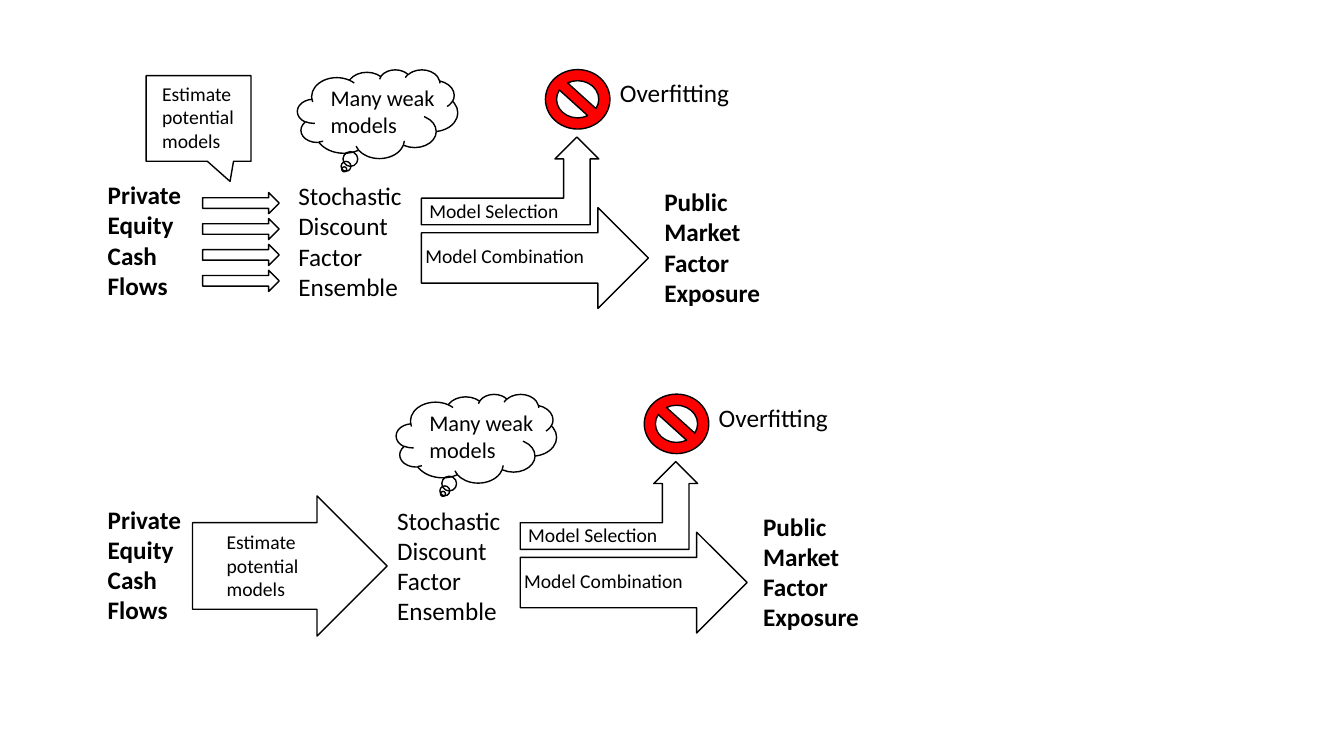
from pptx import Presentation
from pptx.dml.color import RGBColor
from pptx.enum import shapes, text
from pptx.util import Inches, Pt

FONT = "Calibri"
BLACK, WHITE, RED = "000000", "FFFFFF", "FF0000"
KIND = shapes.MSO_SHAPE

# Content: lines, left, top, width, height, size, bold
CASH_FLOWS = (["Private", "Equity", "Cash", "Flows"], 0.97, 1.73, 1.04, 1.31, 18, True)
MODEL_LABELS = [
    (["Public", "Market", "Factor", "Exposure"], 6.49, 1.8, 1.82, 1.31, 18, True),
    (["Stochastic", "Discount", "Factor", "Ensemble"], 2.86, 1.74, 1.69, 1.31, 18, False),
    (["Model Combination"], 4.12, 2.37, 2.12, 0.34, 14, False),
    (["Model Selection"], 4.16, 1.92, 1.72, 0.34, 14, False),
    (["Overfitting"], 6.05, 0.72, 1.82, 0.4, 18, False),
    (["Many weak", "models"], 3.18, 0.79, 1.72, 0.64, 16, False),
]
CALLOUT_LABEL = (["Estimate potential", "models"], 1.51, 0.76, 1.04, 0.81, 14, False)
ARROW_LABEL = (["Estimate", "potential", "models"], 2.15, 5.21, 0.97, 0.81, 14, False)

# Shapes: kind, left, top, width, height, fill, adjustments
MODEL_SHAPES = [
    (KIND.RIGHT_ARROW, 4.18, 2.06, 2.25, 1, WHITE, ()),
    (KIND.BENT_UP_ARROW, 4.18, 1.36, 1.76, 0.87, None, (0.303, 0.25, 0.25)),
    (KIND.NO_SYMBOL, 5.41, 0.69, 0.64, 0.59, RED, ()),
    (KIND.CLOUD_CALLOUT, 2.95, 0.69, 1.59, 0.88, None, ()),
]
CALLOUT = (KIND.RECTANGULAR_CALLOUT, 1.45, 0.75, 1.04, 0.85, None, (0.3, 0.735))
ESTIMATE_ARROW = (KIND.RIGHT_ARROW, 1.91, 4.92, 1.93, 1.39, None, (0.618, 0.5))

SMALL_ARROWS, SMALL_TOP, SMALL_STEP = 4, 1.91, 0.257
ROW_STEP, MODEL_SHIFT = 3.22, 0.98


def color(value):
    return RGBColor.from_string(value)


def add_label(slide, label, dx=0, dy=0):
    lines, left, top, width, height, size, bold = label
    s = slide.shapes.add_textbox(Inches(left + dx), Inches(top + dy),
                                 Inches(width), Inches(height))
    tf = s.text_frame
    tf.word_wrap = True
    tf.auto_size = text.MSO_AUTO_SIZE.SHAPE_TO_FIT_TEXT
    for i, line in enumerate(lines):
        p = tf.paragraphs[0] if i == 0 else tf.add_paragraph()
        r = p.add_run()
        r.text = line
        r.font.name = FONT
        r.font.size = Pt(size)
        r.font.bold = bold
        r.font.color.rgb = color(BLACK)


def add_outlined(slide, item, dx=0, dy=0):
    kind, left, top, width, height, fill, adjustments = item
    s = slide.shapes.add_shape(kind, Inches(left + dx), Inches(top + dy),
                               Inches(width), Inches(height))
    s.shadow.inherit = False
    if fill:
        s.fill.solid()
        s.fill.fore_color.rgb = color(fill)
    else:
        s.fill.background()
    s.line.color.rgb = color(BLACK)
    s.line.width = Pt(1)
    for i, value in enumerate(adjustments):
        s.adjustments[i] = value


def add_flow(slide, dx, dy):
    """Cash flows on the left, then the model part moved right by dx."""
    add_label(slide, CASH_FLOWS, 0, dy)
    for item in MODEL_SHAPES:
        add_outlined(slide, item, dx, dy)
    for label in MODEL_LABELS:
        add_label(slide, label, dx, dy)


def main():
    prs = Presentation()
    prs.slide_width, prs.slide_height = Inches(13.33), Inches(7.5)
    slide = prs.slides.add_slide(prs.slide_layouts[6])

    # Upper flow: four small arrows and a callout
    add_flow(slide, 0, 0)
    for i in range(SMALL_ARROWS):
        top = SMALL_TOP + i * SMALL_STEP
        add_outlined(slide, (KIND.RIGHT_ARROW, 2.01, top, 0.76, 0.21, WHITE, ()))
    add_outlined(slide, CALLOUT)
    add_label(slide, CALLOUT_LABEL)

    # Lower flow: one large arrow
    add_flow(slide, MODEL_SHIFT, ROW_STEP)
    add_outlined(slide, ESTIMATE_ARROW)
    add_label(slide, ARROW_LABEL)

    prs.save("out.pptx")


if __name__ == "__main__":
    main()
